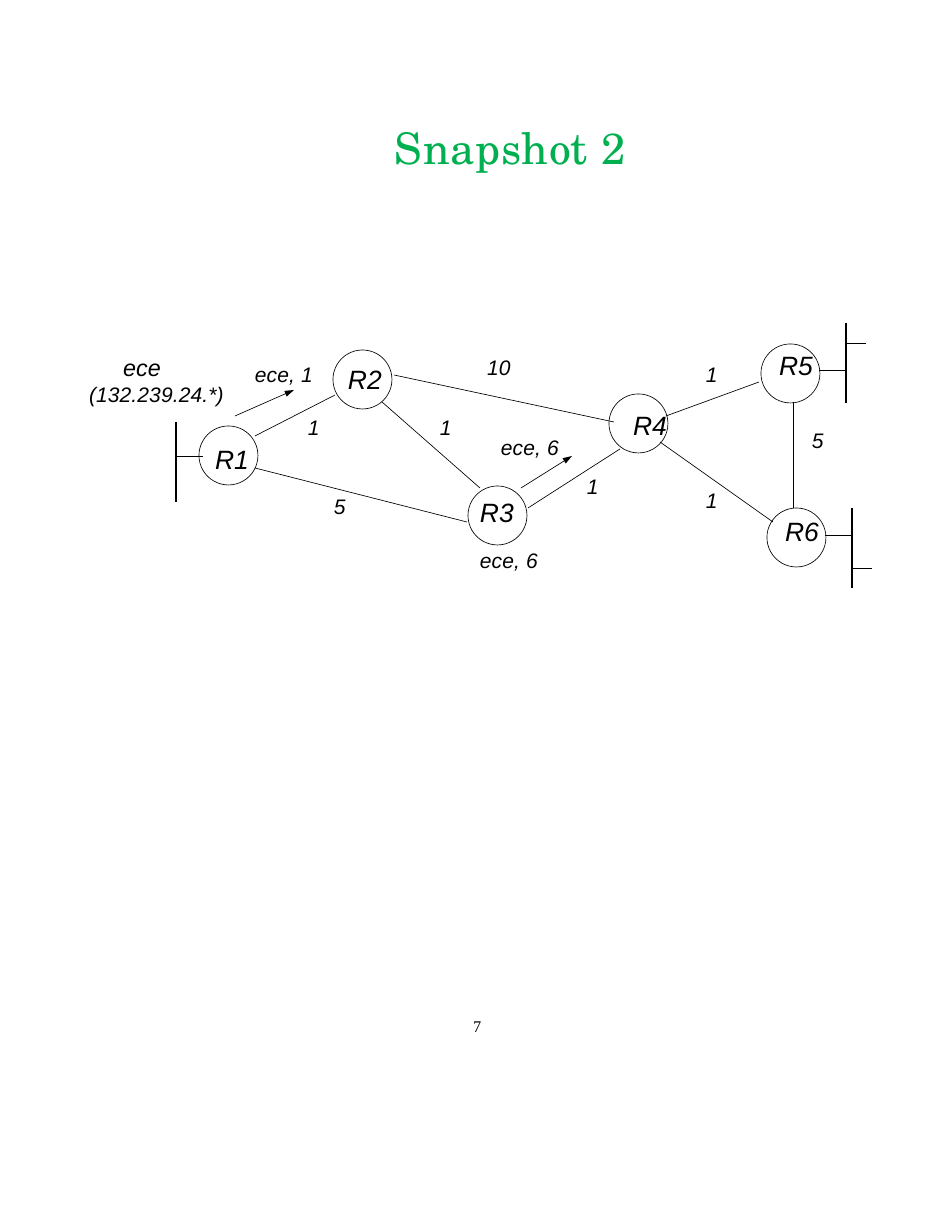
from pptx import Presentation
from pptx import util as u
from pptx.dml.color import RGBColor
from pptx.enum import shapes, text
from pptx.oxml import parse_xml
from pptx.oxml.ns import nsdecls

COLOURS = {"ink": "000000", "title": "00B050"}
LABEL_FONT = "Arial"
NODE_SIZE, COST_SIZE = 17, 13.5
THIN, THICK = 0.43, 1.71


def px(length):
    """Turn px, at 112 to the inch, into EMU."""
    return u.Emu(round(length * 914400 / 112))


def write(paragraph, words, size=COST_SIZE, font=LABEL_FONT, colour="ink",
          italic=True, spacing=0, before=0, indent=1, align=None):
    """Put words in a paragraph; spacing is in points, indent in px."""
    paragraph._p.get_or_add_pPr().set("marL", str(px(indent)))
    paragraph.alignment = align
    if before:
        paragraph.space_before = u.Pt(before)
    run = paragraph.add_run()
    run.text = words
    run.font.size = u.Pt(size)
    run.font.name = font
    run.font.italic = italic
    run.font.bold = False
    run.font.color.rgb = RGBColor.from_string(COLOURS[colour])
    if spacing:
        run._r.get_or_add_rPr().set("spc", str(round(spacing * 100)))


class NetworkSlide:
    def __init__(self, deck):
        self.slide = deck.slides.add_slide(deck.slide_layouts[5])
        self.ink = RGBColor.from_string(COLOURS["ink"])

    def clear_frame(self, shape):
        frame = shape.text_frame
        frame.margin_left = frame.margin_right = 0
        frame.margin_top = frame.margin_bottom = 0
        frame.vertical_anchor = text.MSO_ANCHOR.TOP
        frame.word_wrap = True
        return frame

    def title(self, words, left, top, width, height):
        heading = self.slide.shapes.title
        heading.left, heading.top = px(left), px(top)
        heading.width, heading.height = px(width), px(height)
        frame = self.clear_frame(heading)
        frame.auto_size = text.MSO_AUTO_SIZE.NONE
        write(frame.paragraphs[0], words, size=28, font="TeX Gyre Schola",
              colour="title", italic=False, spacing=0.5,
              align=text.PP_ALIGN.CENTER)

    def label(self, left, top, width, height, *lines):
        """Add a text box; each line is (words, format)."""
        box = self.slide.shapes.add_textbox(px(left), px(top), px(width), px(height))
        frame = self.clear_frame(box)
        for number, (words, style) in enumerate(lines):
            paragraph = frame.add_paragraph() if number else frame.paragraphs[0]
            write(paragraph, words, **style)

    def router(self, left, top, diameter=59):
        circle = self.slide.shapes.add_shape(
            shapes.MSO_SHAPE.OVAL, px(left), px(top), px(diameter), px(diameter))
        circle.shadow.inherit = False
        circle.fill.background()
        circle.line.color.rgb = self.ink
        circle.line.width = u.Pt(THIN)

    def link(self, x1, y1, x2, y2, weight=THIN, arrow=False):
        line = self.slide.shapes.add_connector(
            shapes.MSO_CONNECTOR.STRAIGHT, px(x1), px(y1), px(x2), px(y2))
        line.line.color.rgb = self.ink
        line.line.width = u.Pt(weight)
        if arrow:
            line.line._get_or_add_ln().append(parse_xml(
                f'<a:tailEnd {nsdecls("a")} type="triangle" w="sm" len="med"/>'))
        line._element.spPr.append(parse_xml(f'<a:effectLst {nsdecls("a")}/>'))


def main():
    deck = Presentation()
    deck.slide_width, deck.slide_height = u.Inches(8.5), u.Inches(11)
    network = NetworkSlide(deck)
    network.title("Snapshot 2", 168, 121, 684, 53)

    for centre in [(199, 426), (333, 350), (468, 486),
                   (609, 394), (761, 344), (767, 508)]:
        network.router(*centre)

    router_links = [
        (255, 436, 335, 395), (255, 468, 467, 522), (394, 375, 614, 422),
        (382, 402, 480, 488), (528, 508, 620, 449), (666, 416, 759, 382),
        (660, 442, 773, 522), (793, 402, 793, 508)]
    lan_stubs = [
        (819, 370, 846, 370), (825, 535, 852, 535), (176, 456, 203, 456),
        (846, 343, 866, 343), (852, 568, 872, 568)]
    for ends in router_links + lan_stubs:
        network.link(*ends)

    for x, top in [(846, 323), (852, 508), (176, 422)]:
        network.link(x, top, x, top + 80, weight=THICK)
    for ends in [(235, 416, 294, 390), (521, 488, 572, 456)]:
        network.link(*ends, arrow=True)

    node = {"size": NODE_SIZE}
    cost = {"spacing": 0.1}
    for name, left, top in [("R1", 214, 443), ("R2", 347, 363), ("R4", 632, 409),
                            ("R5", 778, 349), ("R6", 784, 515)]:
        network.label(left, top, 37, 33, (name, node))
    for value, left, top in [("1", 307, 415), ("1", 439, 415), ("1", 586, 474),
                             ("10", 486, 355), ("1", 705, 362), ("1", 705, 488),
                             ("5", 811, 428), ("5", 333, 494)]:
        network.label(left, top, 14 * len(value), 27, (value, cost))
    for update, left, top in [("ece, 1", 254, 362), ("ece, 6", 500, 435)]:
        network.label(left, top, 62, 27, (update, cost))

    network.label(479, 496, 62, 78, ("R3", node),
                  ("ece, 6", {"spacing": 0.1, "before": 12.9}))
    network.label(88, 353, 140, 56,
                  ("ece", {"size": 15, "spacing": 0.1, "indent": 35}),
                  ("(132.239.24.*)", {"spacing": 0.1, "before": 0.6}))
    network.label(470, 1016, 22, 20,
                  ("7", {"size": 10.5, "font": "Times New Roman",
                         "italic": False, "indent": 3}))
    deck.save("out.pptx")


if __name__ == "__main__":
    main()
